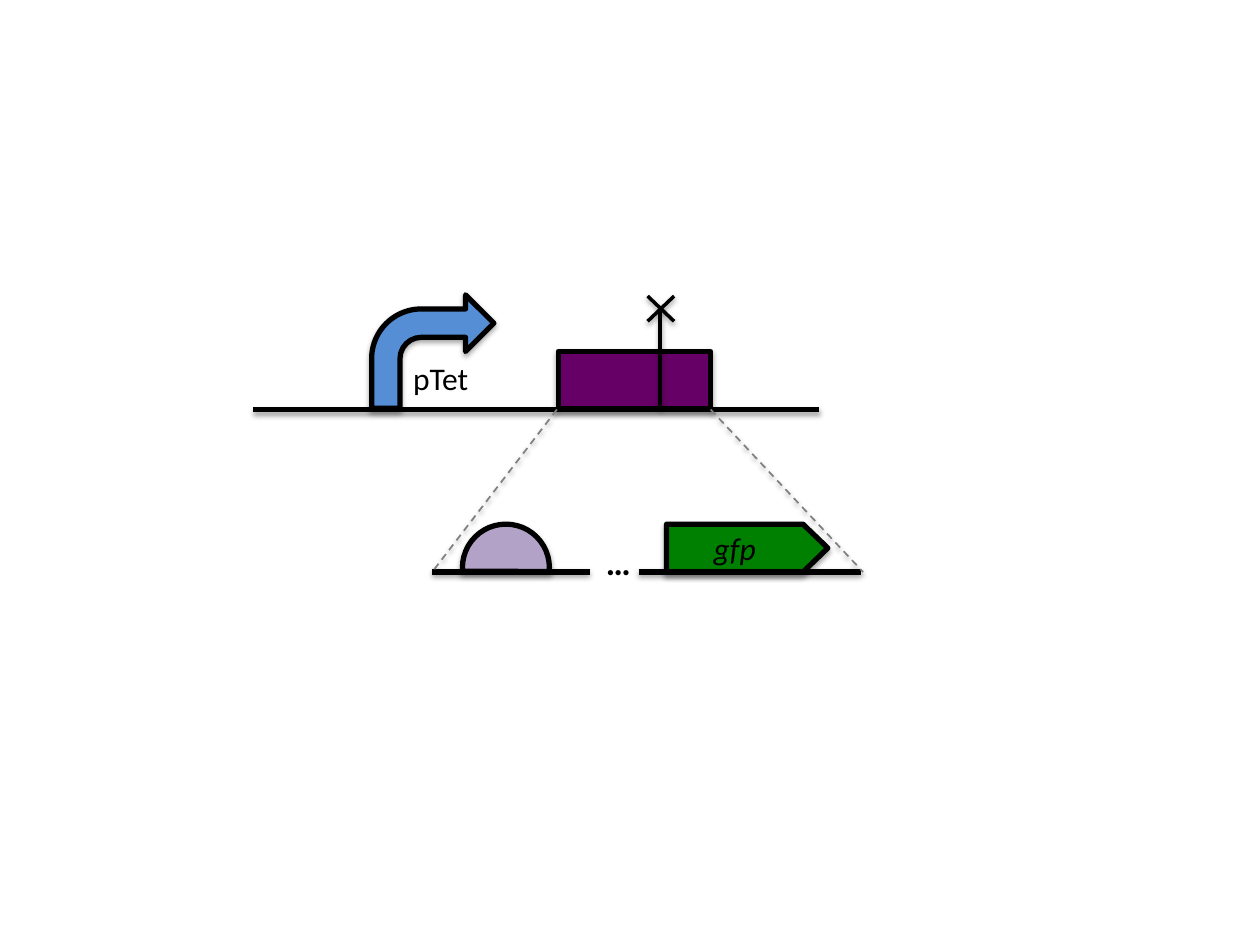
from lxml import etree
from pptx import Presentation
from pptx.dml.color import RGBColor
from pptx.enum import dml, shapes, text
from pptx.oxml import ns
from pptx.util import Inches, Pt

BLACK, GREY = "000000", "808080"
SHAPE, LINE, LABEL = "shape", "line", "label"
DNA_Y, DETAIL_Y = 3.25, 4.54
KINDS = shapes.MSO_SHAPE

# Back to front.
# SHAPE: preset, (left, top, width, height), fill, adjustments, text
# LINE: start, end, colour, points
# LABEL: (left, top, width, height), text, size, bold
PARTS = [
    (SHAPE, KINDS.BENT_ARROW, (2.95, 2.34, 0.97, 0.9), "558ED5", (), ""),
    (LABEL, (3.18, 2.8, 0.64, 0.4), "pTet", 18, False),
    (LINE, (2.01, DNA_Y), (6.5, DNA_Y), BLACK, 3),
    (SHAPE, KINDS.RECTANGLE, (4.43, 2.79, 1.21, 0.45), "660066", (), ""),
    (LINE, (5.24, 3.24), (5.24, 2.45), BLACK, 2),
    (LINE, (5.14, 2.55), (5.35, 2.35), BLACK, 2),
    (LINE, (5.35, 2.55), (5.14, 2.35), BLACK, 2),
    (LINE, (3.43, DETAIL_Y), (4.68, DETAIL_Y), BLACK, 3),
    (SHAPE, KINDS.RIGHT_ARROW, (5.29, 4.16, 1.28, 0.38), "008000", (1, 0.52), "gfp"),
    (SHAPE, KINDS.CHORD, (3.67, 4.16, 0.69, 0.69), "B3A2C7", (105.06, 3.02), ""),
    (LINE, (5.07, DETAIL_Y), (6.83, DETAIL_Y), BLACK, 3),
    (LABEL, (4.71, 4.24, 0.4, 0.44), "…", 20, True),
    (LINE, (5.64, DNA_Y), (6.85, DETAIL_Y), GREY, 1),
    (LINE, (4.42, DNA_Y), (3.43, DETAIL_Y), GREY, 1),
]


def rgb(value):
    return RGBColor.from_string(value)


def inches(values):
    return [Inches(value) for value in values]


def outline(item, colour, points):
    item.line.color.rgb = rgb(colour)
    item.line.width = Pt(points)


def add_shadow(item, distance, opacity):
    """Cast a soft black shadow straight down; call after the outline is set."""
    effects = etree.SubElement(item._element.spPr, ns.qn("a:effectLst"))
    shadow = etree.SubElement(
        effects, ns.qn("a:outerShdw"), blurRad=str(Pt(3.1)),
        dist=str(Pt(distance)), dir="5400000", rotWithShape="0")
    colour = etree.SubElement(shadow, ns.qn("a:srgbClr"), val=BLACK)
    etree.SubElement(colour, ns.qn("a:alpha"), val=str(opacity * 1000))


def write(frame, words, size, bold=False, italic=False):
    para = frame.paragraphs[0]
    para.text = words
    font = para.font
    font.name, font.size, font.bold, font.italic = "Calibri", Pt(size), bold, italic
    font.color.rgb = rgb(BLACK)
    return para


def add_shape(page, preset, bounds, fill, adjustments, words):
    shape = page.shapes.add_shape(preset, *inches(bounds))
    for index, value in enumerate(adjustments):
        shape.adjustments[index] = value
    shape.fill.solid()
    shape.fill.fore_color.rgb = rgb(fill)
    outline(shape, BLACK, 3)
    add_shadow(shape, 1.8, 35)
    if words:
        shape.text_frame.vertical_anchor = text.MSO_ANCHOR.MIDDLE
        para = write(shape.text_frame, words, 18, italic=True)
        para.alignment = text.PP_ALIGN.CENTER


def add_line(page, start, end, colour, points):
    line = page.shapes.add_connector(
        shapes.MSO_CONNECTOR.STRAIGHT, *inches(start + end))
    outline(line, colour, points)
    if colour == GREY:
        line.line.dash_style = dml.MSO_LINE.DASH
    add_shadow(line, 1.6, 38)


def add_label(page, bounds, words, size, bold):
    box = page.shapes.add_textbox(*inches(bounds))
    box.text_frame.word_wrap = False
    box.text_frame.auto_size = text.MSO_AUTO_SIZE.SHAPE_TO_FIT_TEXT
    write(box.text_frame, words, size, bold)


def main():
    deck = Presentation()
    deck.slide_width, deck.slide_height = Inches(10), Inches(7.5)
    page = deck.slides.add_slide(deck.slide_layouts[6])
    builders = {SHAPE: add_shape, LINE: add_line, LABEL: add_label}
    for kind, *details in PARTS:
        builders[kind](page, *details)
    deck.save("out.pptx")


if __name__ == "__main__":
    main()
